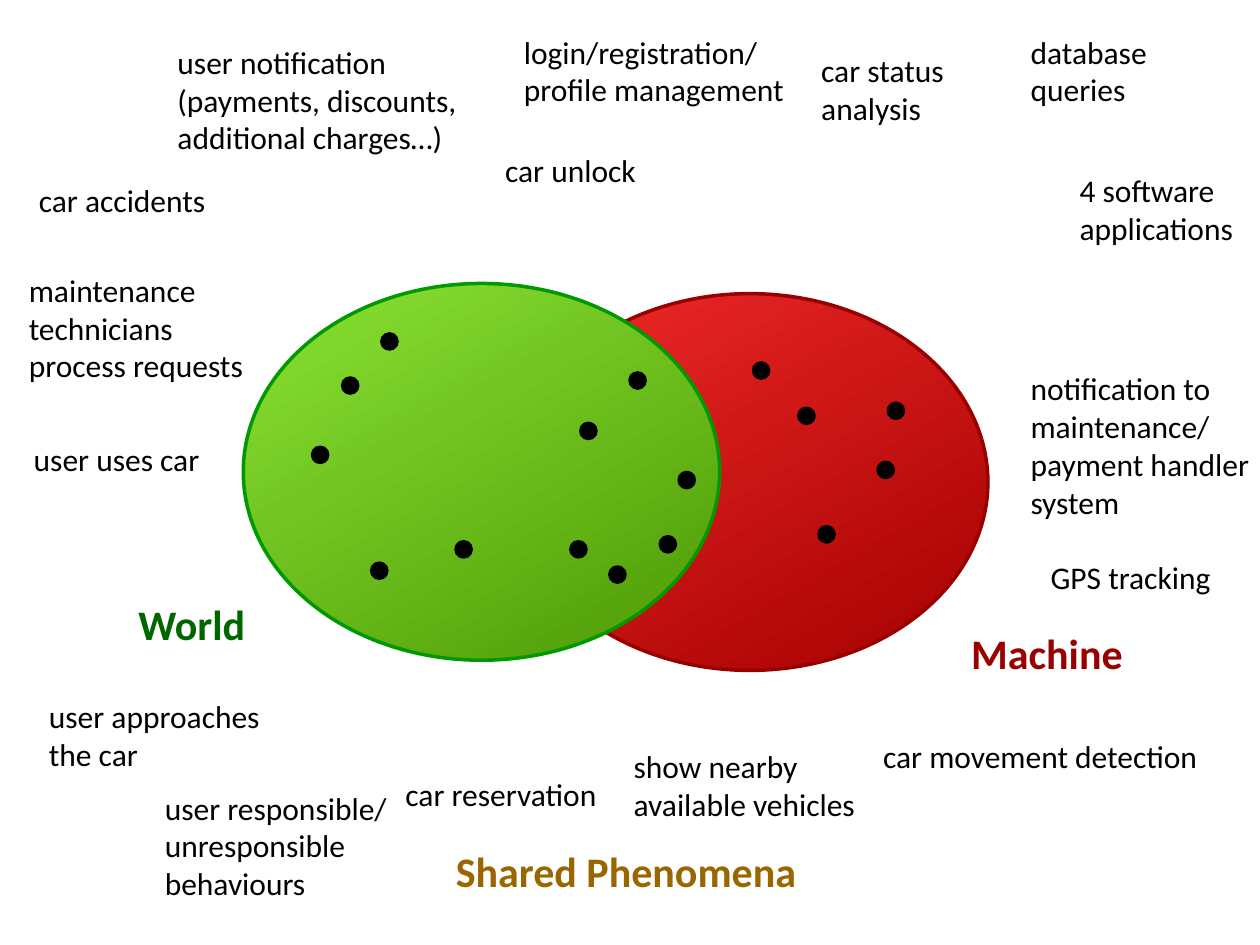
from dataclasses import dataclass

from pptx import Presentation
from pptx.dml.color import RGBColor
from pptx.enum.shapes import MSO_SHAPE
from pptx.util import Pt

OVAL = MSO_SHAPE.OVAL
DOT = MSO_SHAPE.FLOWCHART_CONNECTOR
BLANK_LAYOUT = 6


@dataclass(frozen=True)
class Theme:
    font: str = "Calibri"
    label_size: int = 18
    heading_size: int = 24
    line_width: int = 2
    ink: str = "000000"
    world: str = "006600"
    machine: str = "990000"
    shared: str = "996600"
    world_line: str = "009900"
    world_fill: tuple[str, str] = ("8AE234", "4E9A06")
    machine_fill: tuple[str, str] = ("EF2929", "A40000")


THEME = Theme()
OVAL_SIZE = (272.2, 215.3)
DOT_SIZE = 8.64
INSET = 3.6
LINE_SPACING = 1.2
WIDTH_SLACK = 3


@dataclass(frozen=True)
class Region:
    left: float
    top: float
    fill: tuple[str, str]
    line: str


@dataclass(frozen=True)
class Label:
    left: float
    top: float
    width: float
    text: str
    color: str = THEME.ink
    size: int = THEME.label_size
    bold: bool = False


@dataclass(frozen=True)
class Heading(Label):
    size: int = THEME.heading_size
    bold: bool = True


REGIONS = [
    Region(292.3, 167.8, THEME.machine_fill, THEME.machine),
    Region(139, 162, THEME.world_fill, THEME.world_line),
]

WORLD_DOTS = [(218.2, 190.8), (195.8, 216), (178.6, 255.6),
              (260.6, 309.6), (212.4, 321.8)]
SHARED_DOTS = [(360, 213.1), (331.9, 241.9), (388.1, 270),
               (377.3, 306.7), (348.5, 324), (326.2, 309.6)]
MACHINE_DOTS = [(430.6, 207.4), (456.5, 233.3), (507.6, 230.4),
                (501.8, 264.2), (468, 301)]

HEADINGS = [
    Heading(72, 338.4, 74.9, "World", THEME.world),
    Heading(547.9, 355, 100.8, "Machine", THEME.machine),
    Heading(253.4, 479.5, 208.8, "Shared Phenomena", THEME.shared),
]

WORLD_LABELS = [
    Label(15.1, 100.1, 109.4, "car accidents"),
    Label(9.4, 151.2, 136.8, "maintenance\ntechnicians\nprocess requests"),
    Label(12.2, 247.7, 109.4, "user uses car"),
    Label(20.9, 394.6, 134.6, "user approaches\nthe car"),
    Label(87.1, 447.1, 141.1, "user responsible/\nunresponsible\nbehaviours"),
]
SHARED_LABELS = [
    Label(94.3, 20.9, 173.5,
          "user notification\n(payments, discounts,\nadditional charges…)"),
    Label(292.3, 15.1, 163.4, "login/registration/\nprofile management"),
    Label(281.5, 82.8, 88.6, "car unlock"),
    Label(224.6, 439.2, 123.8, "car reservation"),
    Label(355, 423.4, 141.1, "show nearby\navailable vehicles"),
    Label(497.5, 417.6, 193.7, "car movement detection"),
]
MACHINE_LABELS = [
    Label(462.2, 25.9, 84.2, "car status\nanalysis"),
    Label(581.8, 15.1, 80.6, "database\nqueries"),
    Label(609.8, 94.3, 102.2, "4 software\napplications"),
    Label(581.8, 207.4, 139.7,
          "notification to\nmaintenance/\npayment handler\nsystem"),
    Label(593.3, 315.4, 105.8, "GPS tracking"),
]


def rgb(value: str) -> RGBColor:
    return RGBColor.from_string(value)


def add_outlined(slide, kind, left: float, top: float,
                 width: float, height: float, line: str):
    sp = slide.shapes.add_shape(kind, Pt(left), Pt(top), Pt(width), Pt(height))
    sp.shadow.inherit = False
    sp.line.color.rgb = rgb(line)
    sp.line.width = Pt(THEME.line_width)
    return sp


def add_region(slide, region: Region) -> None:
    sp = add_outlined(slide, OVAL, region.left, region.top, *OVAL_SIZE, region.line)
    sp.fill.gradient()
    sp.fill.gradient_angle = 300
    for stop, color in zip(sp.fill.gradient_stops, region.fill):
        stop.color.rgb = rgb(color)


def add_dot(slide, left: float, top: float) -> None:
    sp = add_outlined(slide, DOT, left, top, DOT_SIZE, DOT_SIZE, THEME.ink)
    sp.fill.solid()
    sp.fill.fore_color.rgb = rgb(THEME.ink)


def add_label(slide, label: Label) -> None:
    lines = label.text.count("\n") + 1
    height = 2 * INSET + lines * label.size * LINE_SPACING
    sp = slide.shapes.add_textbox(
        Pt(label.left), Pt(label.top), Pt(label.width + WIDTH_SLACK), Pt(height))
    tf = sp.text_frame
    tf.word_wrap = False
    tf.text = label.text
    for p in tf.paragraphs:
        for r in p.runs:
            r.font.name = THEME.font
            r.font.size = Pt(label.size)
            r.font.bold = label.bold
            r.font.color.rgb = rgb(label.color)


def main() -> None:
    prs = Presentation()
    prs.slide_width, prs.slide_height = Pt(720), Pt(540)
    s = prs.slides.add_slide(prs.slide_layouts[BLANK_LAYOUT])
    for region in REGIONS:
        add_region(s, region)
    for left, top in WORLD_DOTS + SHARED_DOTS + MACHINE_DOTS:
        add_dot(s, left, top)
    for label in HEADINGS + WORLD_LABELS + SHARED_LABELS + MACHINE_LABELS:
        add_label(s, label)
    prs.save("out.pptx")


if __name__ == "__main__":
    main()
